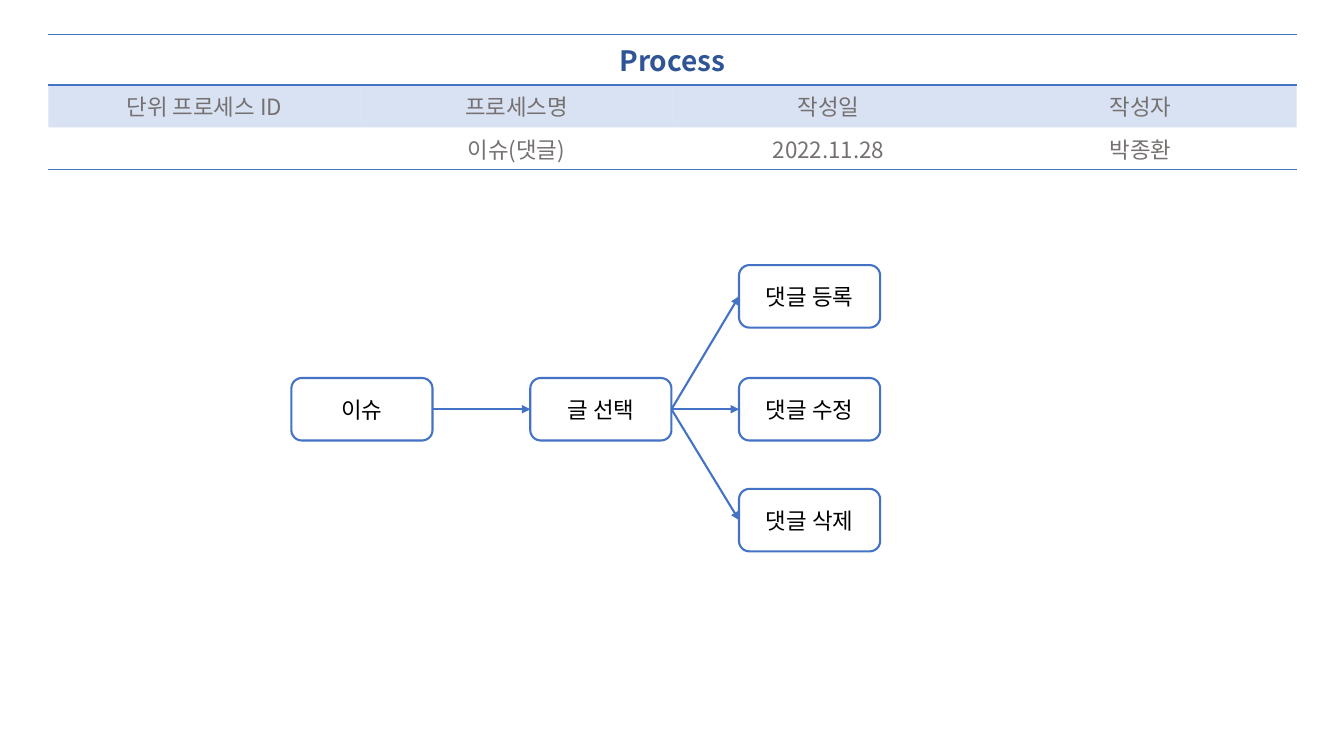
from dataclasses import dataclass

from lxml.etree import SubElement
from pptx import Presentation
from pptx.dml.color import RGBColor
from pptx.enum.shapes import MSO_CONNECTOR, MSO_SHAPE
from pptx.enum.text import MSO_ANCHOR, PP_ALIGN
from pptx.oxml.ns import qn
from pptx.util import Inches, Pt


@dataclass(frozen=True)
class Theme:
    font: str = "Noto Sans CJK KR"
    blue: str = "4472C4"
    heading: str = "2F5597"
    gray: str = "767171"
    black: str = "000000"
    white: str = "FFFFFF"
    heading_size: int = 20
    body_size: int = 16


theme = Theme()


def write_centered(frame, text, color, size=theme.body_size, bold=False):
    paragraph = frame.paragraphs[0]
    paragraph.alignment = PP_ALIGN.CENTER
    run = paragraph.add_run()
    run.text = text
    run.font.name = theme.font
    run.font.size = Pt(size)
    run.font.bold = bold
    run.font.color.rgb = RGBColor.from_string(color)
    SubElement(run.font._element, qn("a:ea"), typeface=theme.font)


def add_border(cell, side):
    """Draw a thin blue rule on one side: lnT (top) or lnB (bottom)."""
    border = SubElement(cell._tc.get_or_add_tcPr(), qn(f"a:{side}"), w=str(Pt(1)))
    fill = SubElement(border, qn("a:solidFill"))
    SubElement(fill, qn("a:srgbClr"), val=theme.blue)


prs = Presentation()
prs.slide_width = Inches(13.33)
prs.slide_height = Inches(7.5)
slide = prs.slides.add_slide(prs.slide_layouts[6])

# Process information table
process_rows = [
    ["Process", "", "", ""],
    ["단위 프로세스 ID", "프로세스명", "작성일", "작성자"],
    ["", "이슈(댓글)", "2022.11.28", "박종환"],
]
row_heights = [0.46, 0.38, 0.38]
info = slide.shapes.add_table(
    3, 4, Inches(0.48), Inches(0.34), Inches(12.38), Inches(sum(row_heights))
).table
info.first_row = False
info.horz_banding = False
no_style_no_grid = "{2D5ABB26-0587-4C30-8999-92F81FD0307C}"
info._tbl.tblPr.find(qn("a:tableStyleId")).text = no_style_no_grid
info.cell(0, 0).merge(info.cell(0, 3))

for row, labels in enumerate(process_rows):
    info.rows[row].height = Inches(row_heights[row])
    for column, label in enumerate(labels):
        cell = info.cell(row, column)
        if row == 0:
            add_border(cell, "lnT")
        if row != 1:
            add_border(cell, "lnB")
            cell.fill.background()
        else:
            cell.fill.solid()
            cell.fill.fore_color.rgb = RGBColor.from_string(theme.blue)
            tint = cell._tc.tcPr.find(f".//{qn('a:srgbClr')}")
            SubElement(tint, qn("a:alpha"), val="20000")
        if row == 0 and label:
            write_centered(cell.text_frame, label, theme.heading,
                           theme.heading_size, bold=True)
        elif label:
            write_centered(cell.text_frame, label, theme.gray)
        else:
            cell.text_frame.paragraphs[0].font.size = Pt(theme.body_size)

# Flow steps: left and top of each box
step_places = {
    "이슈": (2.89, 3.75),
    "글 선택": (5.26, 3.75),
    "댓글 등록": (7.33, 2.63),
    "댓글 수정": (7.33, 3.75),
    "댓글 삭제": (7.33, 4.85),
}
steps = {}
for label, (left, top) in step_places.items():
    step = slide.shapes.add_shape(
        MSO_SHAPE.ROUNDED_RECTANGLE,
        Inches(left), Inches(top), Inches(1.4), Inches(0.62),
    )
    step.shadow.inherit = False
    step.fill.solid()
    step.fill.fore_color.rgb = RGBColor.from_string(theme.white)
    step.line.color.rgb = RGBColor.from_string(theme.blue)
    step.line.width = Pt(1.5)
    step.text_frame.word_wrap = True
    step.text_frame.vertical_anchor = MSO_ANCHOR.MIDDLE
    write_centered(step.text_frame, label, theme.black)
    steps[label] = step

# Arrows run from the right side of one step to the left side of the next
LEFT_SITE, RIGHT_SITE = 1, 3
flow = [
    ("이슈", "글 선택"),
    ("글 선택", "댓글 등록"),
    ("글 선택", "댓글 수정"),
    ("글 선택", "댓글 삭제"),
]
for source, target in flow:
    arrow = slide.shapes.add_connector(MSO_CONNECTOR.STRAIGHT, 0, 0, 0, 0)
    arrow.begin_connect(steps[source], RIGHT_SITE)
    arrow.end_connect(steps[target], LEFT_SITE)
    arrow.line.color.rgb = RGBColor.from_string(theme.blue)
    arrow.line.width = Pt(1.5)
    SubElement(arrow.line._get_or_add_ln(), qn("a:tailEnd"), type="triangle")
    SubElement(arrow._element.spPr, qn("a:effectLst"))

prs.save("out.pptx")
